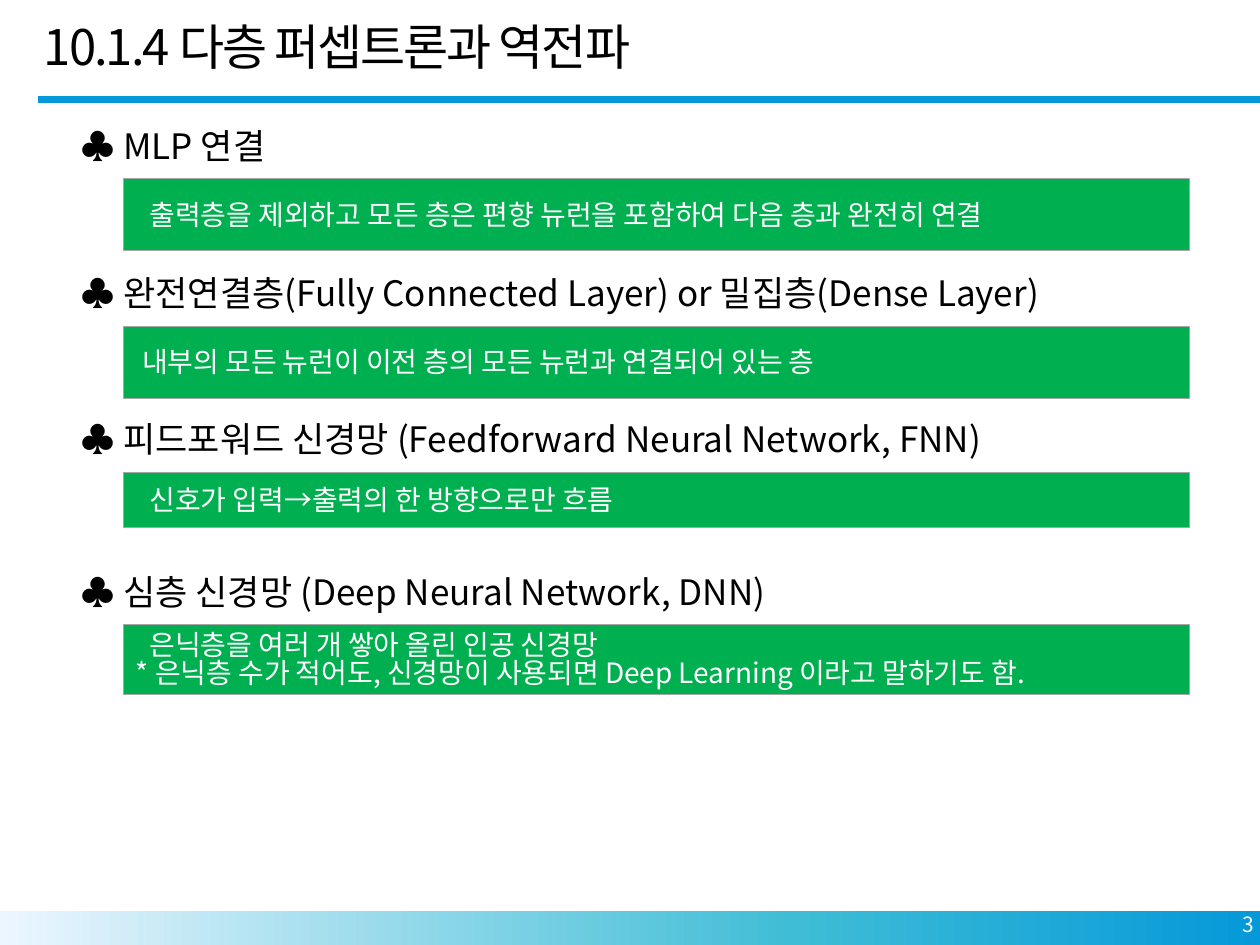
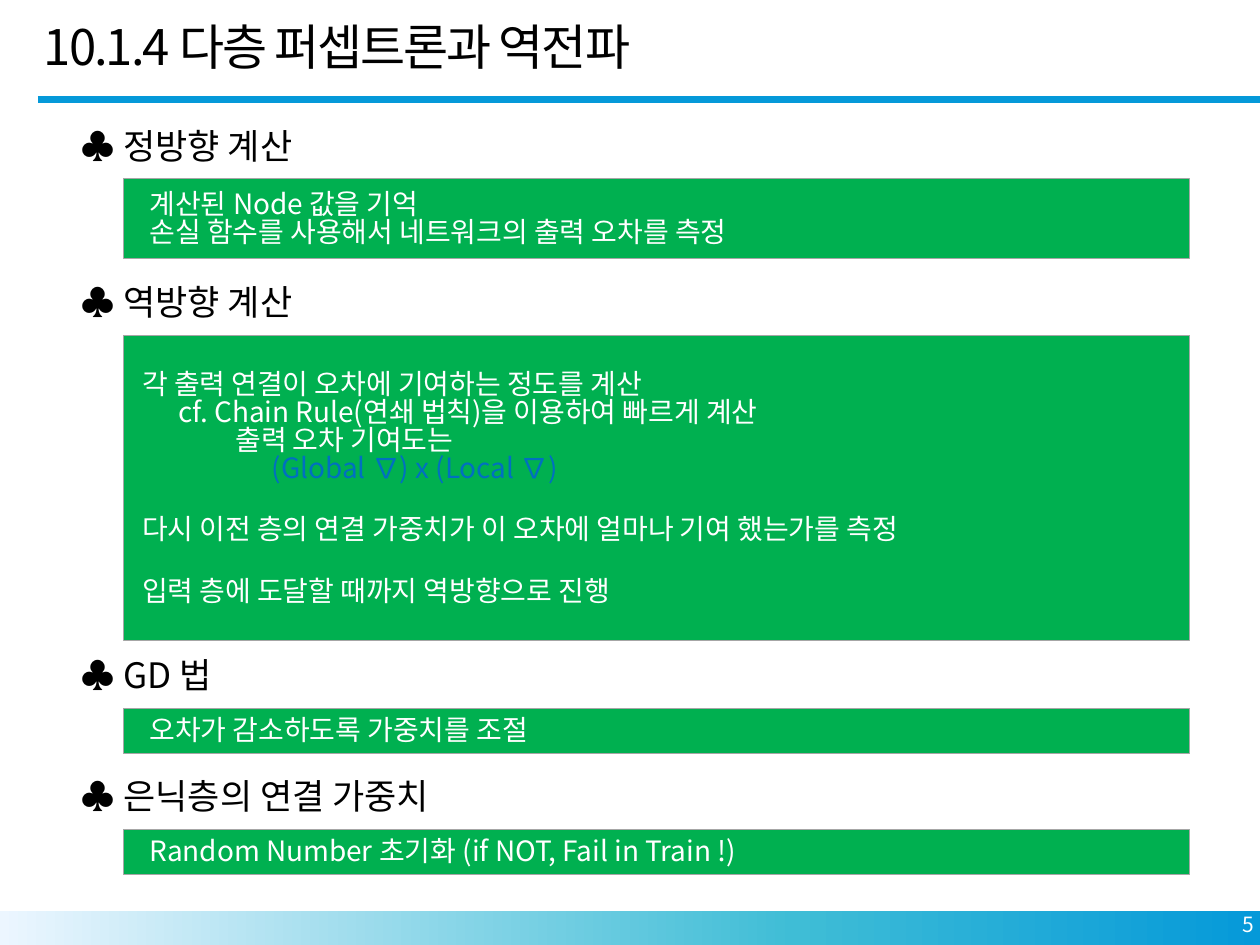
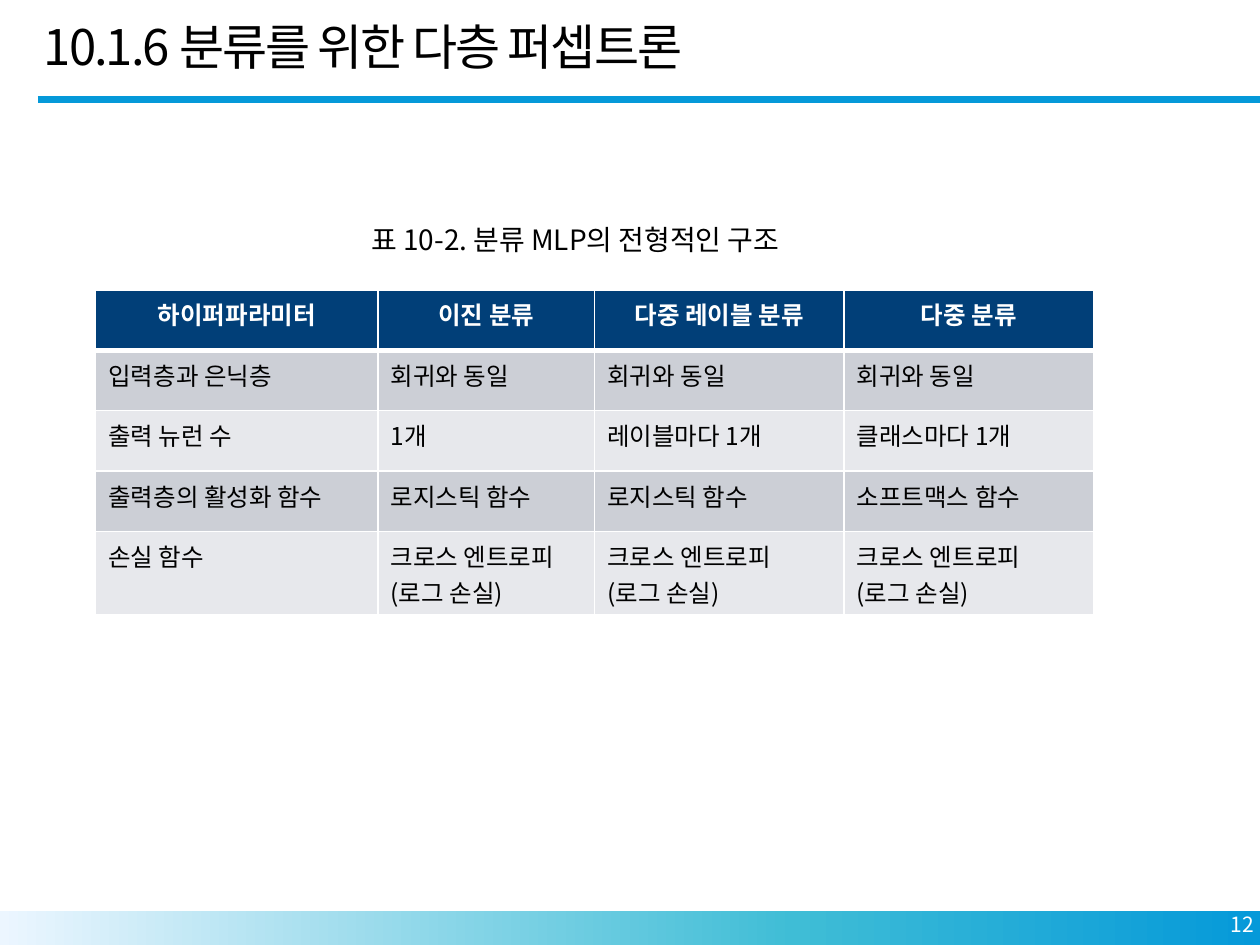
from lxml import etree
from pptx import Presentation
from pptx.dml.color import RGBColor
from pptx.enum.shapes import MSO_CONNECTOR, MSO_SHAPE
from pptx.enum.text import MSO_ANCHOR, PP_ALIGN
from pptx.oxml import parse_xml
from pptx.oxml.ns import nsdecls, qn
from pptx.util import Inches, Pt

LEFT, CENTER, RIGHT = PP_ALIGN.LEFT, PP_ALIGN.CENTER, PP_ALIGN.RIGHT
MIDDLE = MSO_ANCHOR.MIDDLE
RECTANGLE = MSO_SHAPE.RECTANGLE
STRAIGHT = MSO_CONNECTOR.STRAIGHT

FONT = "Noto Sans CJK KR"
BLACK, WHITE, SKY = "000000", "FFFFFF", "0599D9"
GREEN, GRAY, BLUE = "00B050", "A6A6A6", "0070C0"
NAVY, ROW_DARK, ROW_LIGHT = "013F78", "CCCFD6", "E7E8EC"
BAND_STOPS = [(0, SKY), (37, "3FBDD6"), (100, "ECF6FF")]

HEADING_LEFT, HEADING_WIDTH, HEADING_HEIGHT = 0.54, 8.5, 0.44
BOX_LEFT, BOX_WIDTH = 0.98, 8.46
BLANK_LINE = 19.2

MLP_TITLE = "10.1.4 다층 퍼셉트론과 역전파"
CLASSIFIER_TITLE = "10.1.6 분류를 위한 다층 퍼셉트론"

NETWORK_SECTIONS = [
    ("♣ MLP 연결", 1.42, 0.57, [
        (0.11, "출력층을 제외하고 모든 층은 편향 뉴런을 포함하여 다음 층과 완전히 연결")]),
    ("♣ 완전연결층(Fully Connected Layer) or 밀집층(Dense Layer)", 2.59, 0.57, [
        (0.05, "내부의 모든 뉴런이 이전 층의 모든 뉴런과 연결되어 있는 층")]),
    ("♣ 피드포워드 신경망 (Feedforward Neural Network, FNN)", 3.75, 0.44, [
        (0.11, "신호가 입력→출력의 한 방향으로만 흐름")]),
    ("♣ 심층 신경망 (Deep Neural Network, DNN)", 4.96, 0.55, [
        (0.11, "은닉층을 여러 개 쌓아 올린 인공 신경망"),
        (0, "* 은닉층 수가 적어도, 신경망이 사용되면 Deep Learning 이라고 말하기도 함.")]),
]
TRAINING_SECTIONS = [
    ("♣ 정방향 계산", 1.42, 0.63, [
        (0.11, "계산된 Node 값을 기억"),
        (0.11, "손실 함수를 사용해서 네트워크의 출력 오차를 측정")]),
    ("♣ 역방향 계산", 2.66, 2.42, [
        (0.05, "각 출력 연결이 오차에 기여하는 정도를 계산"),
        (0.34, "cf. Chain Rule(연쇄 법칙)을 이용하여 빠르게 계산"),
        (0.79, "출력 오차 기여도는"),
        (1.08, "(Global ∇) x (Local ∇)", BLUE),
        (0.05, "다시 이전 층의 연결 가중치가 이 오차에 얼마나 기여 했는가를 측정", WHITE, BLANK_LINE),
        (0.05, "입력 층에 도달할 때까지 역방향으로 진행", WHITE, BLANK_LINE)]),
    ("♣ GD 법", 5.62, 0.36, [(0.11, "오차가 감소하도록 가중치를 조절")]),
    ("♣ 은닉층의 연결 가중치", 6.58, 0.36, [
        (0.11, "Random Number 초기화 (if NOT, Fail in Train !)")]),
]

TABLE_CAPTION = "표 10-2. 분류 MLP의 전형적인 구조"
COLUMN_WIDTHS = [2.24, 1.72, 1.98, 1.98]
ROW_HEIGHTS = [0.48, 0.48, 0.48, 0.48, 0.66]
CROSS_ENTROPY = "크로스 엔트로피\n(로그 손실)"
TABLE_ROWS = [
    ["하이퍼파라미터", "이진 분류", "다중 레이블 분류", "다중 분류"],
    ["입력층과 은닉층"] + ["회귀와 동일"] * 3,
    ["출력 뉴런 수", "1개", "레이블마다 1개", "클래스마다 1개"],
    ["출력층의 활성화 함수", "로지스틱 함수", "로지스틱 함수", "소프트맥스 함수"],
    ["손실 함수"] + [CROSS_ENTROPY] * 3,
]

SLIDES = [
    (MLP_TITLE, "3", NETWORK_SECTIONS),
    (MLP_TITLE, "5", TRAINING_SECTIONS),
    (CLASSIFIER_TITLE, "12", []),
]


def rgb(color):
    return RGBColor.from_string(color)


def write(text_frame, text, size, color, align=LEFT, spacing=0.88, bold=False):
    text_frame.word_wrap = True
    text_frame.text = text
    for paragraph in text_frame.paragraphs:
        paragraph.alignment = align
        paragraph.line_spacing = spacing
        for run in paragraph.runs:
            run.font.name = FONT
            run.font.size = Pt(size)
            run.font.bold = bold
            run.font.color.rgb = rgb(color)
            east_asian = etree.SubElement(run.font._element, qn("a:ea"))
            east_asian.set("typeface", FONT)


presentation = Presentation()
presentation.slide_width = Inches(10)
presentation.slide_height = Inches(7.5)
blank_layout = presentation.slide_layouts[6]

for title, number, sections in SLIDES:
    slide = presentation.slides.add_slide(blank_layout)
    shapes = slide.shapes

    band = shapes.add_shape(RECTANGLE, 0, Inches(7.23), Inches(10), Inches(0.28))
    band.shadow.inherit = False
    band.line.fill.background()
    band.fill.background()
    stops = "".join(
        f'<a:gs pos="{position * 1000}"><a:srgbClr val="{color}"/></a:gs>'
        for position, color in BAND_STOPS)
    gradient = parse_xml(
        f'<a:gradFill {nsdecls("a")}><a:gsLst>{stops}</a:gsLst>'
        '<a:lin ang="10800000" scaled="0"/></a:gradFill>')
    properties = band._element.spPr
    properties.replace(properties.find(qn("a:noFill")), gradient)

    rule = shapes.add_connector(STRAIGHT, Inches(0.3), Inches(0.79), Inches(10), Inches(0.79))
    rule.line.color.rgb = rgb(SKY)
    rule.line.width = Pt(4.5)
    etree.SubElement(rule._element.spPr, qn("a:effectLst"))

    title_box = shapes.add_textbox(Inches(0.25), Inches(0.17), Inches(8.09), Inches(0.58))
    write(title_box.text_frame, title, 28, BLACK, spacing=0.8)
    title_box.text_frame.paragraphs[0].runs[0].font._element.set("spc", "-110")

    number_box = shapes.add_textbox(Inches(7.72), Inches(7.21), Inches(2.33), Inches(0.4))
    write(number_box.text_frame, number, 12, WHITE, RIGHT)

    for heading, top, height, lines in sections:
        box = shapes.add_shape(
            RECTANGLE, Inches(BOX_LEFT), Inches(top), Inches(BOX_WIDTH), Inches(height))
        box.shadow.inherit = False
        box.fill.solid()
        box.fill.fore_color.rgb = rgb(GREEN)
        box.line.color.rgb = rgb(GRAY)
        box.line.width = Pt(0.5)
        text_frame = box.text_frame
        text_frame.vertical_anchor = MIDDLE
        text_frame.margin_bottom = Inches(0.02)
        write(text_frame, "\n".join(line[1] for line in lines), 16, WHITE, spacing=0.83)
        for paragraph, (indent, text, *extras) in zip(text_frame.paragraphs, lines):
            paragraph._p.get_or_add_pPr().set("marL", str(Inches(indent)))
            if extras:
                paragraph.runs[0].font.color.rgb = rgb(extras[0])
            if len(extras) > 1:
                paragraph.space_before = Pt(extras[1])

        heading_box = shapes.add_textbox(
            Inches(HEADING_LEFT), Inches(top - HEADING_HEIGHT),
            Inches(HEADING_WIDTH), Inches(HEADING_HEIGHT))
        write(heading_box.text_frame, heading, 20, BLACK)

table = shapes.add_table(
    len(TABLE_ROWS), len(COLUMN_WIDTHS), Inches(0.76), Inches(2.3),
    Inches(sum(COLUMN_WIDTHS)), Inches(sum(ROW_HEIGHTS))).table
for column, width in zip(table.columns, COLUMN_WIDTHS):
    column.width = Inches(width)

for row_index, (row, height) in enumerate(zip(TABLE_ROWS, ROW_HEIGHTS)):
    table.rows[row_index].height = Inches(height)
    is_header = row_index == 0
    fill = NAVY if is_header else ROW_DARK if row_index % 2 else ROW_LIGHT
    for column_index, text in enumerate(row):
        cell = table.cell(row_index, column_index)
        write(cell.text_frame, text, 14, WHITE if is_header else BLACK,
              CENTER if is_header else LEFT, 1, is_header)
        for side in "LRTB":
            thick = (is_header and side == "B") or (row_index == 1 and side == "T")
            cell._tc.get_or_add_tcPr().append(parse_xml(
                f'<a:ln{side} {nsdecls("a")} w="{Pt(3 if thick else 1)}"><a:solidFill>'
                f'<a:srgbClr val="{WHITE}"/></a:solidFill></a:ln{side}>'))
        cell.fill.solid()
        cell.fill.fore_color.rgb = rgb(fill)

caption = shapes.add_textbox(Inches(2.85), Inches(1.75), Inches(3.8), Inches(0.37))
write(caption.text_frame, TABLE_CAPTION, 16, BLACK)

presentation.save("out.pptx")
